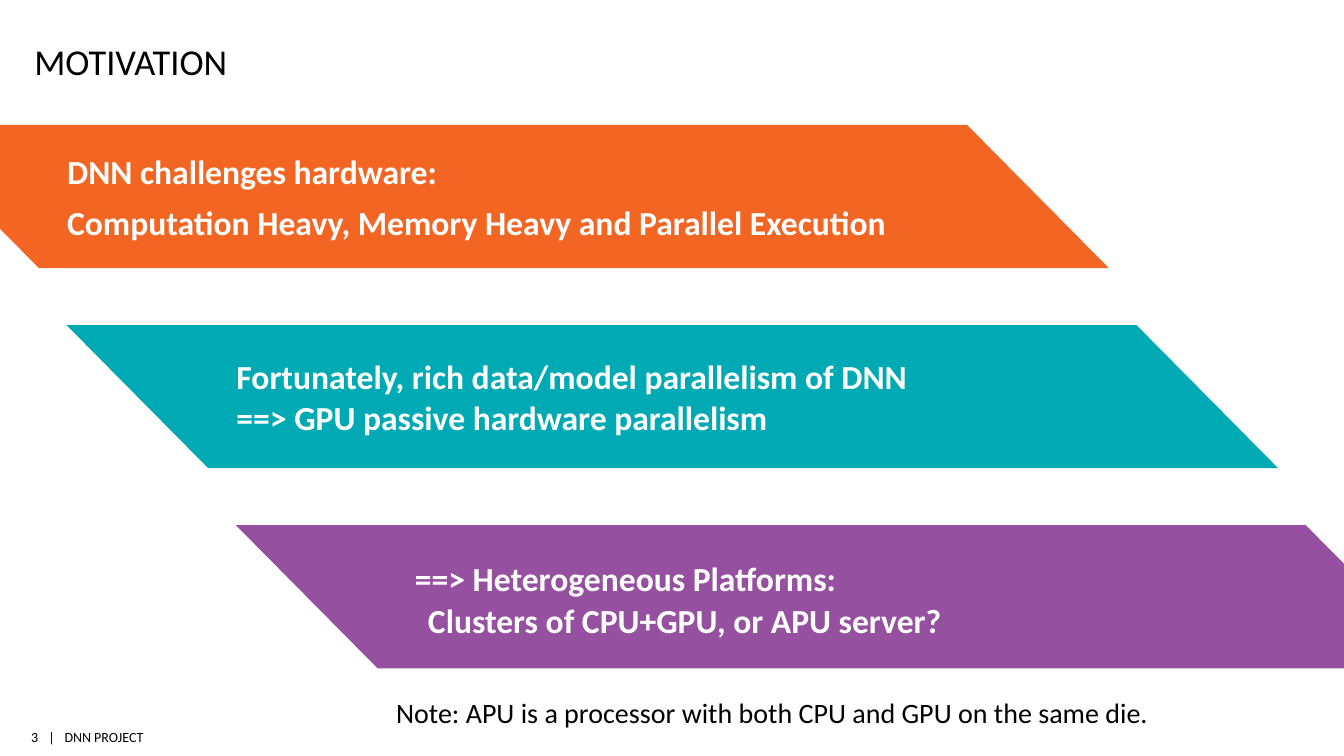
import dataclasses

import pptx
import pptx.dml.color
import pptx.enum.shapes
import pptx.enum.text
import pptx.oxml
import pptx.oxml.ns
import pptx.util

ALIGN = pptx.enum.text.PP_ALIGN
ANCHOR = pptx.enum.text.MSO_ANCHOR
SLIDE_WIDTH = pptx.util.Inches(13.33)
SLIDE_HEIGHT = pptx.util.Inches(7.5)


@dataclasses.dataclass(frozen=True)
class Theme:
    font: str = "Calibri"
    ink: str = "000000"
    band_ink: str = "FFFFFF"
    orange: str = "F26522"
    teal: str = "00AAB5"
    purple: str = "9650A0"
    title_size: int = 26
    band_size: int = 24
    note_size: int = 20
    footer_size: int = 10


THEME = Theme()


def rgb(code):
    return pptx.dml.color.RGBColor.from_string(code)


def place(left, top, width, height):
    """Turn percentages of the slide into lengths."""
    return (int(SLIDE_WIDTH * left / 100), int(SLIDE_HEIGHT * top / 100),
            int(SLIDE_WIDTH * width / 100), int(SLIDE_HEIGHT * height / 100))


def write(frame, lines, size, color=THEME.ink, bold=False, align=ALIGN.LEFT,
          anchor=ANCHOR.MIDDLE, margins=(0.1, 0.05, 0.1, 0.05), gap=0,
          indents=(), tab=None, line_spacing=None):
    """Fill a frame: margins, indents and tab in inches, gap in points."""
    frame.word_wrap = True
    frame.vertical_anchor = anchor
    (frame.margin_left, frame.margin_top, frame.margin_right,
     frame.margin_bottom) = map(pptx.util.Inches, margins)
    for number, line in enumerate(lines):
        paragraph = frame.paragraphs[0] if number == 0 else frame.add_paragraph()
        properties = paragraph._p.get_or_add_pPr()
        if indents:
            properties.set("marL", str(pptx.util.Inches(indents[number])))
        if tab:
            properties.append(pptx.oxml.parse_xml(
                f'<a:tabLst {pptx.oxml.ns.nsdecls("a")}>'
                f'<a:tab pos="{pptx.util.Inches(tab)}" algn="l"/></a:tabLst>'))
        paragraph.alignment = align
        if number and gap:
            paragraph.space_before = pptx.util.Pt(gap)
        if line_spacing:
            paragraph.line_spacing = line_spacing
        run = paragraph.add_run()
        run.text = line
        run.font.name = THEME.font
        run.font.size = pptx.util.Pt(size)
        run.font.bold = bold
        run.font.color.rgb = rgb(color)


def add_label(slide, area, line, size, **style):
    label = slide.shapes.add_textbox(*place(*area))
    write(label.text_frame, [line], size, **style)


def add_band(slide, step, color, lines, **style):
    """Each band sits one step right of and below the one before."""
    area = place(-7.65 + 12.6 * step, 16.53 + 26.47 * step, 90.15, 18.93)
    band = slide.shapes.add_shape(
        pptx.enum.shapes.MSO_SHAPE.PARALLELOGRAM, *area)
    band.adjustments[0] = 0.99
    band._element.spPr.xfrm.set("flipH", "1")
    band.shadow.inherit = False
    band.fill.solid()
    band.fill.fore_color.rgb = rgb(color)
    band.line.fill.background()
    write(band.text_frame, lines, THEME.band_size, color=THEME.band_ink,
          bold=True, **style)


def main():
    deck = pptx.Presentation()
    deck.slide_width, deck.slide_height = SLIDE_WIDTH, SLIDE_HEIGHT
    slide = deck.slides.add_slide(deck.slide_layouts[6])

    # Title
    add_label(slide, (2.55, 4, 85.5, 6.93), "MOTIVATION", THEME.title_size,
              anchor=ANCHOR.BOTTOM, margins=(0, 0.05, 0, 0))

    # Cascading argument
    bands = [
        (THEME.orange, ["DNN challenges hardware:",
                        "Computation Heavy, Memory Heavy and Parallel Execution"],
         {"gap": 7.2}),
        (THEME.teal, ["Fortunately, rich data/model parallelism of DNN",
                      "==> GPU passive hardware parallelism"], {}),
        (THEME.purple, ["==> Heterogeneous Platforms:",
                        "Clusters of CPU+GPU, or APU server?"],
         {"gap": 1, "indents": (0.09, 0.22), "margins": (0.1, 0.1, 0.1, 0.05)}),
    ]
    for step, (color, lines, style) in enumerate(bands):
        add_band(slide, step, color, lines, **style)

    # Note
    add_label(slide, (28.73, 91.87, 60.1, 5.33),
              "Note: APU is a processor with both CPU and GPU on the same die.",
              THEME.note_size, line_spacing=0.9)

    # Footer
    footer_margins = (0, 0.04, 0, 0.04)
    add_label(slide, (1.65, 95.73, 1.2, 3.47), "3", THEME.footer_size,
              align=ALIGN.RIGHT, margins=footer_margins)
    add_label(slide, (3.6, 95.73, 9, 3.47), "|\tDNN PROJECT",
              THEME.footer_size, margins=footer_margins, tab=0.16)

    deck.save("out.pptx")


if __name__ == "__main__":
    main()
